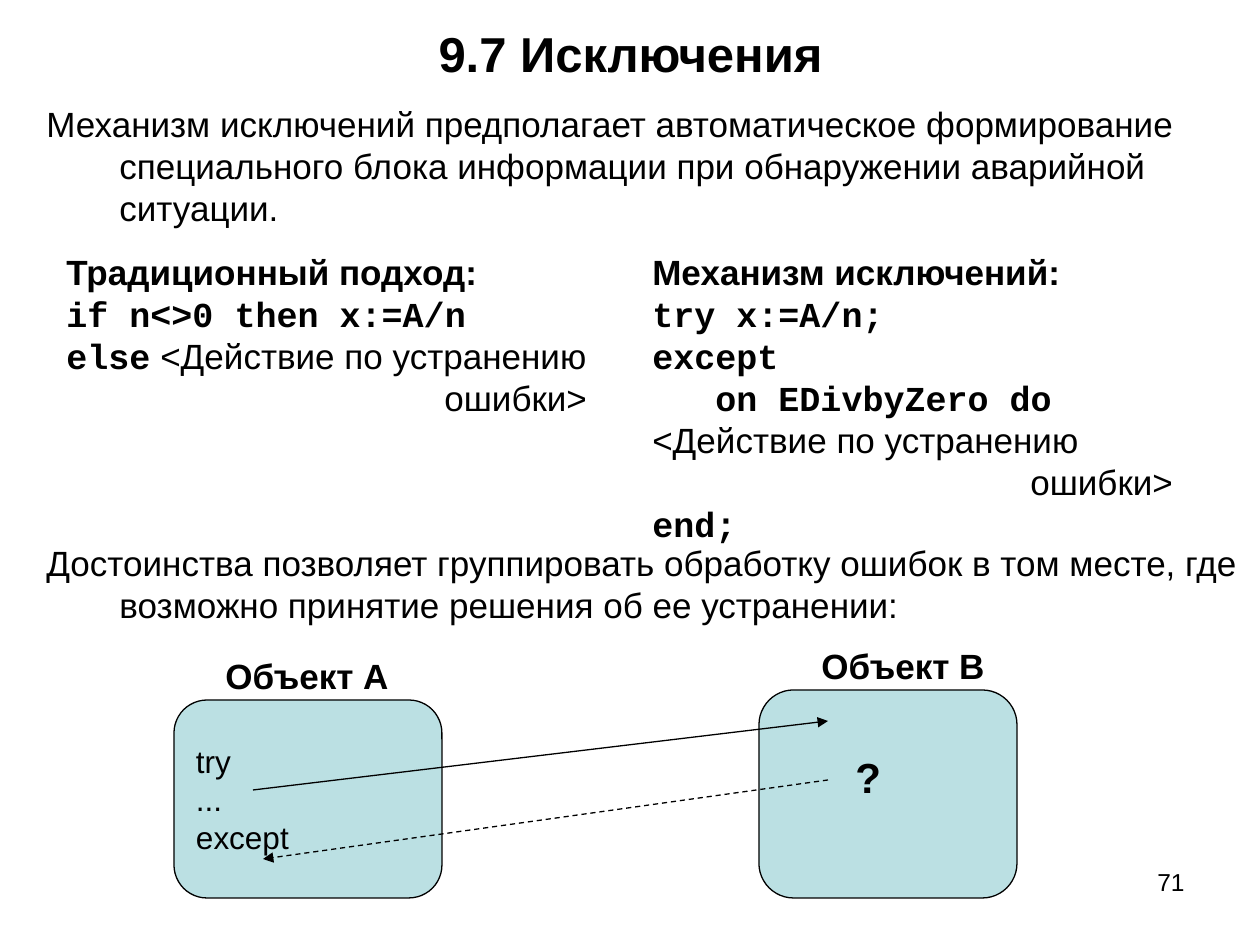
from lxml import etree
from pptx import Presentation
from pptx import util as u
from pptx.dml.color import RGBColor
from pptx.enum import dml, shapes, text
from pptx.oxml import ns

PX = 914400 // 126
BLACK = RGBColor(0x00, 0x00, 0x00)
PALE_TEAL = RGBColor(0xBB, 0xE0, 0xE3)
SANS, MONO = "Arial", "Courier New"

presentation = Presentation()
presentation.slide_width, presentation.slide_height = u.Inches(10), u.Inches(7.5)
slide = presentation.slides.add_slide(presentation.slide_layouts[6])


def write(shape, paragraphs, size, align="LEFT", anchor="TOP", wrap=True):
    """Each paragraph is (runs, left margin, first-line indent); a run is (words, font, bold)."""
    frame = shape.text_frame
    frame.word_wrap = wrap
    frame.vertical_anchor = getattr(text.MSO_ANCHOR, anchor)
    for index, (runs, margin, indent) in enumerate(paragraphs):
        paragraph = frame.add_paragraph() if index else frame.paragraphs[0]
        paragraph.alignment = getattr(text.PP_ALIGN, align)
        paragraph.line_spacing = u.Pt(round(size * 1.2, 1))
        properties = paragraph._p.get_or_add_pPr()
        properties.set("marL", str(margin * PX))
        properties.set("indent", str(indent * PX))
        for words, name, bold in runs:
            run = paragraph.add_run()
            run.text = words
            run.font.color.rgb = BLACK
            style = {"name": name, "size": u.Pt(size), "bold": bold}
            for key, value in style.items():
                setattr(run.font, key, value)


def add_text(box, *content, **options):
    shape = slide.shapes.add_textbox(*(value * PX for value in box))
    write(shape, *content, **options)


# Title and the two statements with hanging indents
add_text((34, 20, 1193, 66), [([("9.7 Исключения", SANS, True)], 0, 0)], 28,
         align="CENTER", anchor="MIDDLE")
statements = [
    (96, 140, "Механизм исключений предполагает автоматическое формирование "
              "специального блока информации при обнаружении аварийной ситуации."),
    (535, 98, "Достоинства позволяет группировать обработку ошибок в том месте, где "
              "возможно принятие решения об ее устранении:"),
]
for top, height, words in statements:
    add_text((34, top, 1226, height), [([(words, SANS, False)], 73, -73)], 20)

# Comparison of the two approaches
ERROR_END = ([("ошибки>", SANS, False)], 378, 0)
add_text((54, 244, 566, 181), [
    ([("Традиционный подход:", SANS, True)], 0, 0),
    ([("if n<>0 then x:=A/n", MONO, True)], 0, 0),
    ([("else", MONO, True), (" <Действие по устранению", SANS, False)], 0, 0),
    ERROR_END,
], 20)
add_text((640, 244, 620, 307), [
    ([("Механизм исключений:", SANS, True)], 0, 0),
    ([("try x:=A/n;", MONO, True)], 0, 0),
    ([("except", MONO, True)], 0, 0),
    ([("   on EDivbyZero do", MONO, True)], 0, 0),
    ([("<Действие по устранению", SANS, False)], 0, 0),
    ERROR_END,
    ([("end;", MONO, True)], 0, 0),
], 20)

# Objects A and B with their labels
objects = [
    ((174, 700, 268, 198), ["try", "...", "except"], "Объект A", (213, 648, 189, 55)),
    ((759, 690, 258, 208), [], "Объект B", (809, 638, 189, 55)),
]
for box, lines, label, label_box in objects:
    shape = slide.shapes.add_shape(shapes.MSO_SHAPE.ROUNDED_RECTANGLE,
                                   *(value * PX for value in box))
    shape.shadow.inherit = False
    shape.fill.solid()
    shape.fill.fore_color.rgb = PALE_TEAL
    shape.line.color.rgb = BLACK
    shape.line.width = u.Pt(0.75)
    write(shape, [([(line, SANS, False)], 0, 0) for line in lines], 18, anchor="MIDDLE")
    add_text(label_box, [([(label, SANS, True)], 0, 0)], 20, wrap=False)
add_text((843, 745, 50, 63), [([("?", SANS, True)], 0, 0)], 24, wrap=False)

# Call arrow and dashed return arrow
arrows = [((253, 790, 828, 721), None),
          ((828, 780, 263, 859), dml.MSO_LINE.DASH)]
for ends, dash in arrows:
    connector = slide.shapes.add_connector(shapes.MSO_CONNECTOR.STRAIGHT,
                                           *(value * PX for value in ends))
    connector.line.color.rgb = BLACK
    connector.line.width = u.Pt(0.75)
    if dash:
        connector.line.dash_style = dash
    outline = connector.line._get_or_add_ln()
    etree.SubElement(outline, ns.qn("a:tailEnd"), type="triangle")
    etree.SubElement(connector._element.spPr, ns.qn("a:effectLst"))

# Slide number
add_text((903, 861, 294, 66), [([("71", SANS, False)], 0, 0)], 14, align="RIGHT")

presentation.save("out.pptx")
